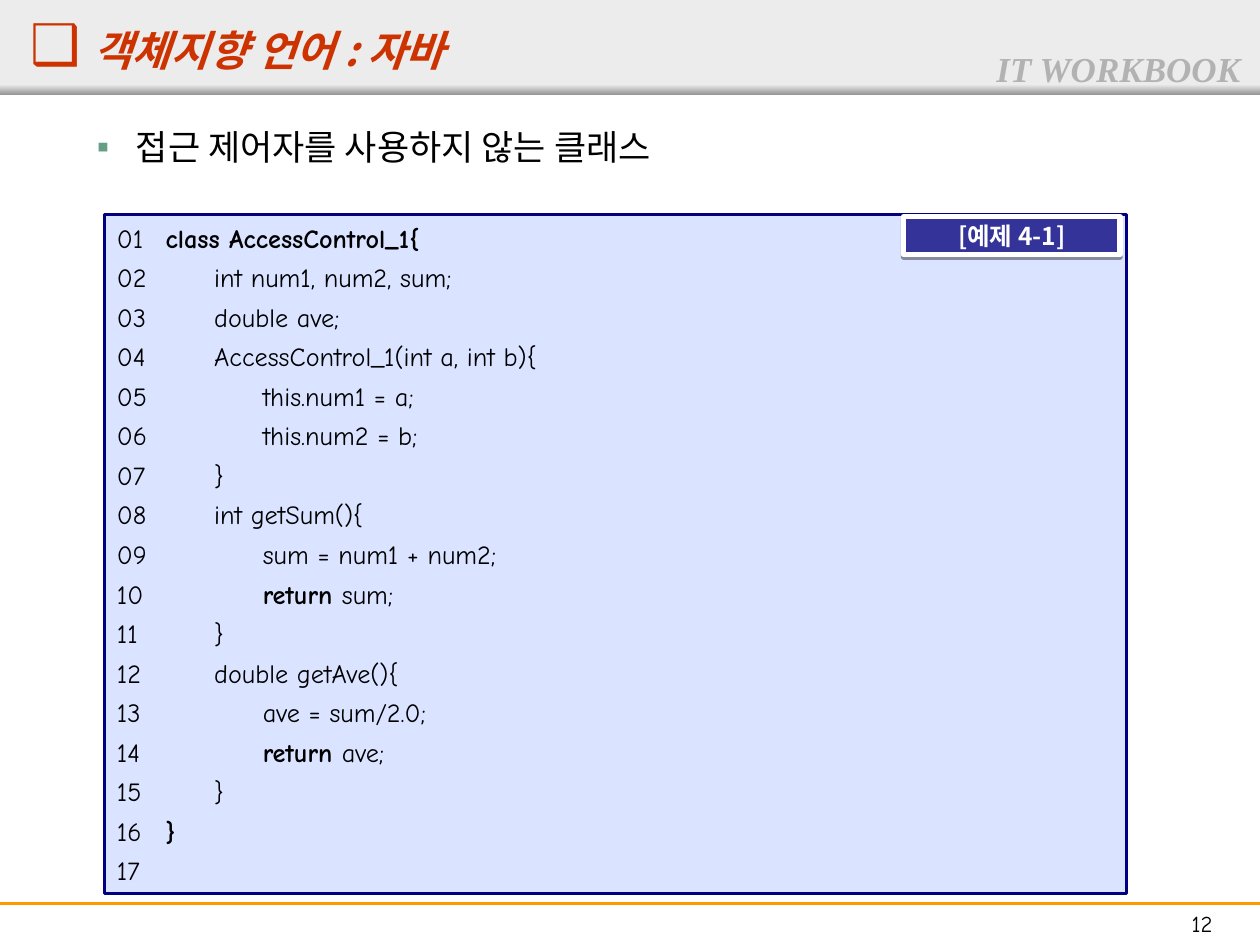
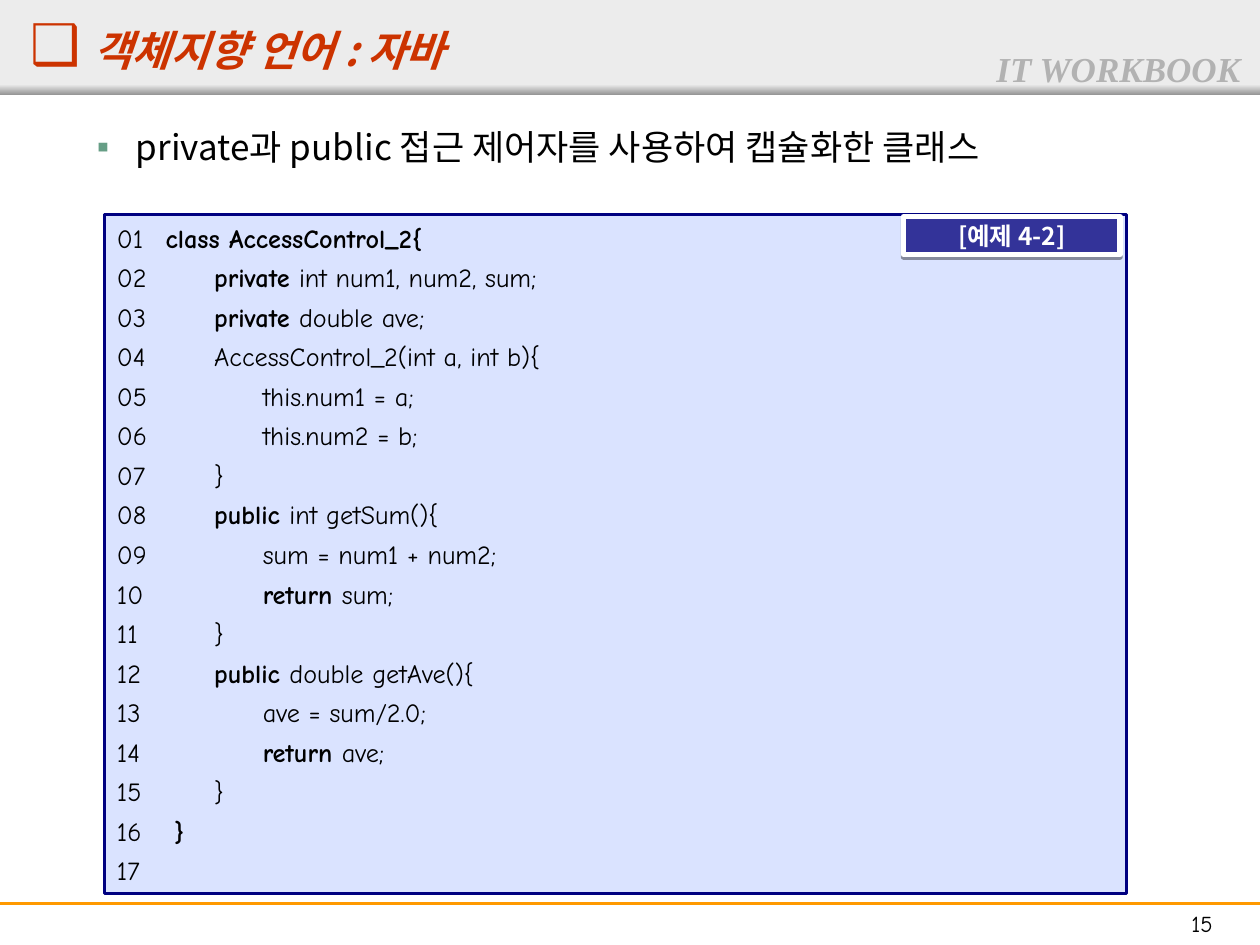
import pptx
import pptx.util
import pptx.dml.color
import pptx.enum.shapes
import pptx.enum.text
import pptx.oxml
import pptx.oxml.ns
from lxml import etree

Inches, Pt = pptx.util.Inches, pptx.util.Pt
SHAPE = pptx.enum.shapes.MSO_SHAPE
ALIGN = pptx.enum.text.PP_ALIGN
ANCHOR = pptx.enum.text.MSO_ANCHOR
qn = pptx.oxml.ns.qn

SANS = "Noto Sans CJK KR"
RED, GREY, BLACK, WHITE = "CC3300", "ECECEC", "000000", "FFFFFF"
HEAD = {"face": SANS, "size": 24, "color": RED, "bold": True, "italic": True}
MARK = {**HEAD, "size": 32}
BRAND = {"face": "Times New Roman", "size": 20, "color": "B2B2B2",
         "bold": True, "italic": True}
PAGE = {"face": "Comic Neue", "size": 13, "color": BLACK}
TOPIC = {"face": SANS, "size": 20, "color": BLACK}
CODE = {"face": "Comic Neue", "size": 15, "color": BLACK, "bold": False}
LABEL = {"face": SANS, "size": 14, "color": WHITE, "bold": True}


def rgb(code):
    return pptx.dml.color.RGBColor.from_string(code)


def child(node, tag, **attrs):
    return etree.SubElement(node, qn(tag), attrs)


def write(para, text, look):
    """Add one run in the given look, Hangul font included."""
    run = para.add_run()
    run.text = text
    font = run.font
    for key, value in look.items():
        if key == "face":
            font.name = value
        elif key == "color":
            font.color.rgb = rgb(value)
        else:
            setattr(font, key, Pt(value) if key == "size" else value)
    child(run._r.rPr, "a:ea", typeface=look["face"])


def bullet(para, char, color, left=0, hang=0):
    props = para._p.get_or_add_pPr()
    props.set("marL", str(Inches(left)))
    props.set("indent", str(Inches(-hang)))
    child(child(props, "a:buClr"), "a:srgbClr", val=color)
    child(props, "a:buFont", typeface="Arial")
    child(props, "a:buChar", char=char)


def setup(frame, **opts):
    """Apply frame settings and return the first paragraph."""
    base = {"word_wrap": True, "auto_size": pptx.enum.text.MSO_AUTO_SIZE.NONE,
            "vertical_anchor": ANCHOR.TOP}
    for key, value in {**base, **opts}.items():
        setattr(frame, key, value)
    return frame.paragraphs[0]


def area(box):
    return [Inches(size) for size in box]


def block(slide, box, fill, line=None, width=0):
    shape = slide.shapes.add_shape(SHAPE.RECTANGLE, *area(box))
    shape.shadow.inherit = False
    shape.fill.solid()
    shape.fill.fore_color.rgb = rgb(fill)
    if line:
        shape.line.color.rgb = rgb(line)
        shape.line.width = Pt(width)
    else:
        shape.line.fill.background()
    return shape


def label(slide, box, text, look, align=ALIGN.LEFT):
    frame = slide.shapes.add_textbox(*area(box)).text_frame
    para = setup(frame)
    para.alignment = align
    write(para, text, look)
    return para


def header(slide, box, title):
    left, top, width, height = box
    block(slide, box, GREY)
    edge = block(slide, (left, top + height - 0.08, width, 0.08), GREY)
    edge.fill.gradient()
    edge.fill.gradient_angle = 270
    for stop, color in zip(edge.fill.gradient_stops, (GREY, "979797")):
        stop.color.rgb = rgb(color)
    label(slide, (left + 7.81, top + 0.33, 2.19, 0.44), "IT WORKBOOK", BRAND)

    shape = slide.shapes.title
    slide.shapes._spTree.append(shape._element)
    spot = area((left + 0.14, top + 0.14, 9, 0.46))
    for key, value in zip(("left", "top", "width", "height"), spot):
        setattr(shape, key, value)
    para = setup(shape.text_frame, margin_top=0)
    para.alignment = ALIGN.LEFT
    para.line_spacing = 0.9
    bullet(para, "❑", RED)
    write(para, " ", MARK)
    write(para, title, HEAD)


def footer(slide, box, page):
    left, top, width, height = box
    rule = slide.shapes.add_connector(
        pptx.enum.shapes.MSO_CONNECTOR.STRAIGHT,
        *area((left, top, left + width, top)))
    rule.line.color.rgb = rgb("FF9900")
    rule.line.width = Pt(1.5)
    child(rule._element.spPr, "a:effectLst")
    label(slide, (left + width - 0.92, top, 0.92, height), page, PAGE,
          ALIGN.CENTER)


def topic(slide, box, text):
    para = label(slide, box, text, TOPIC)
    para.line_spacing = 1.2
    bullet(para, "▪", "669E86", 0.81, 0.31)


def tabs(para):
    stops = child(para._p.get_or_add_pPr(), "a:tabLst")
    for step in range(8):
        child(stops, "a:tab", pos=str(Inches(2.7 * step / 7)), algn="l")


def listing(slide, box, lines, tag):
    """Numbered code panel; ** in a line switches bold on and off."""
    left, top, width, _ = box
    panel = block(slide, box, "3366FF", "000080", 1.5)
    tint = panel._element.spPr.find(qn("a:solidFill"))[0]
    child(tint, "a:alpha", val="18000")
    frame = panel.text_frame
    para = setup(frame)
    for num, line in enumerate(lines, 1):
        if num > 1:
            para = frame.add_paragraph()
            para.space_before = Pt(3.7)
        para.alignment = ALIGN.LEFT
        para.line_spacing = 1.05
        tabs(para)
        parts = f"{num:02}\t{line}".rstrip().split("**")
        for spot, part in enumerate(parts):
            if part:
                write(para, part, {**CODE, "bold": spot % 2 == 1})
    badge(slide, (left + width - 1.77, top + 0.02, 1.72, 0.3), tag)


def badge(slide, box, text):
    shape = block(slide, box, "333399", WHITE, 3)
    effects = shape._element.spPr.find(qn("a:effectLst"))
    cast = child(effects, "a:outerShdw", blurRad="0", dist=str(Pt(1.6)),
                 dir="5400000", rotWithShape="0")
    child(child(cast, "a:srgbClr", val=BLACK), "a:alpha", val="38000")
    para = setup(shape.text_frame, vertical_anchor=ANCHOR.MIDDLE)
    para.alignment = ALIGN.CENTER
    write(para, text, LABEL)


def source(name, field="", method="", close="**}**"):
    """Java lines of the class, with optional access modifiers."""
    return [
        f"**class {name}{{**",
        f"\t{field}int num1, num2, sum;",
        f"\t{field}double ave;",
        f"\t{name}(int a, int b){{",
        "\t\tthis.num1 = a;",
        "\t\tthis.num2 = b;",
        "\t}",
        f"\t{method}int getSum(){{",
        "\t\tsum = num1 + num2;",
        "\t\t**return **sum;",
        "\t}",
        f"\t{method}double getAve(){{",
        "\t\tave = sum/2.0;",
        "\t\t**return **ave;",
        "\t}",
        close,
        "",
    ]


def lesson(deck, page, text, lines, tag):
    slide = deck.slides.add_slide(deck.slide_layouts[5])
    header(slide, (0, 0, 10, 0.75), "객체지향 언어 : 자바")
    footer(slide, (0, 7.17, 10, 0.32), page)
    topic(slide, (0.17, 0.88, 9.45, 0.6), text)
    listing(slide, (0.83, 1.7, 8.11, 5.39), lines, tag)


def main():
    deck = pptx.Presentation()
    deck.slide_width, deck.slide_height = Inches(10), Inches(7.5)
    lesson(deck, "12", "접근 제어자를 사용하지 않는 클래스",
           source("AccessControl_1"), "[예제 4-1]")
    lesson(deck, "15", "private과 public 접근 제어자를 사용하여 캡슐화한 클래스",
           source("AccessControl_2", "**private **", "**public **", " **}**"),
           "[예제 4-2]")
    deck.save("out.pptx")


if __name__ == "__main__":
    main()
